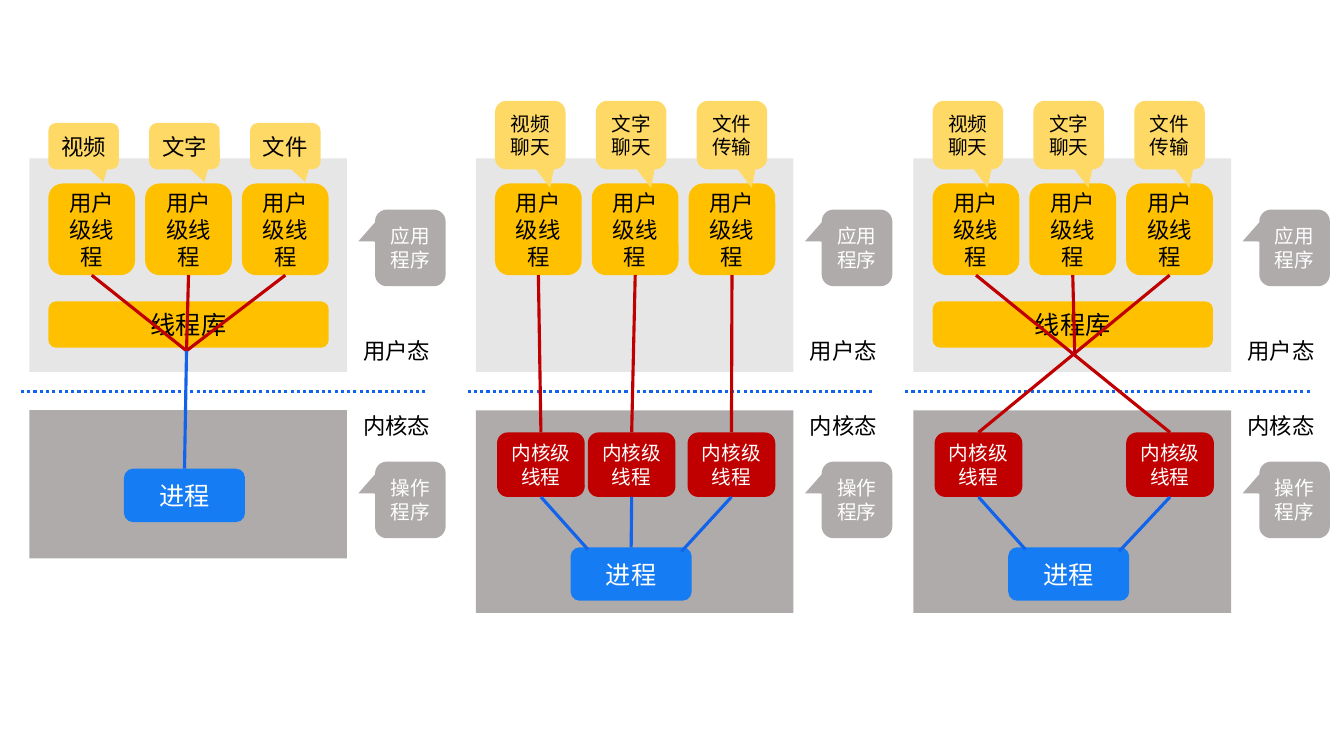
from pptx import Presentation
from pptx.dml.color import RGBColor
from pptx.enum.dml import MSO_LINE_DASH_STYLE as Dash
from pptx.enum.shapes import MSO_CONNECTOR as Connector, MSO_SHAPE as Shape
from pptx.enum.text import MSO_ANCHOR as Anchor, PP_ALIGN as Align
from pptx.oxml.xmlchemy import OxmlElement
from pptx.util import Inches, Pt

FONT = "Noto Sans CJK SC"
BLACK = RGBColor(0x00, 0x00, 0x00)
WHITE = RGBColor(0xFF, 0xFF, 0xFF)
LIGHT_GRAY = RGBColor(0xE7, 0xE6, 0xE6)
GRAY = RGBColor(0xAF, 0xAB, 0xAB)
AMBER = RGBColor(0xFF, 0xC0, 0x00)
YELLOW = RGBColor(0xFF, 0xD9, 0x66)
RED = RGBColor(0xC0, 0x00, 0x00)
BLUE = RGBColor(0x15, 0x7C, 0xF3)
LINE_BLUE = RGBColor(0x11, 0x63, 0xEB)

BOTTOM, TOP = 2, 0
TASK_TAIL = (0.281, 0.771, 0.167)
SIDE_TAIL = (-0.736, -0.087, 0.167)
SHORT_TASKS = (["视频"], ["文字"], ["文件"])
LONG_TASKS = (["视频", "聊天"], ["文字", "聊天"], ["文件", "传输"])


def write(box, lines, size, color):
    frame = box.text_frame
    frame.word_wrap = True
    for index, line in enumerate(lines):
        para = frame.add_paragraph() if index else frame.paragraphs[0]
        para.alignment = Align.CENTER
        span = para.add_run()
        span.text = line
        span.font.size = Pt(size)
        span.font.color.rgb = color
        span.font.name = FONT
        east_asian = OxmlElement("a:ea")
        east_asian.set("typeface", FONT)
        span.font._element.append(east_asian)


def add_box(panel, kind, place, fill, lines=(), size=16, color=BLACK, tail=()):
    box = panel.shapes.add_shape(kind, *map(Inches, place))
    box.shadow.inherit = False
    box.fill.solid()
    box.fill.fore_color.rgb = fill
    box.line.fill.background()
    for index, value in enumerate(tail):
        box.adjustments[index] = value
    box.text_frame.vertical_anchor = Anchor.MIDDLE
    write(box, lines, size, color)
    return box


def add_label(panel, left, top, text):
    box = panel.shapes.add_textbox(*map(Inches, (left, top, 0.97, 0.37)))
    write(box, [text], 16, BLACK)


def add_line(panel, start, end, color):
    """Draw from a point or a box's bottom to a point or a box's top."""
    def locate(target, site):
        if isinstance(target, tuple):
            return [Inches(value) for value in target]
        return [target.left + target.width // 2,
                target.top + (target.height if site == BOTTOM else 0)]

    line = panel.shapes.add_connector(
        Connector.STRAIGHT, *locate(start, BOTTOM), *locate(end, TOP))
    if not isinstance(start, tuple):
        line.begin_connect(start, BOTTOM)
    if not isinstance(end, tuple):
        line.end_connect(end, TOP)
    line.line.color.rgb = color
    line.line.width = Pt(2.25)
    line._element.spPr.append(OxmlElement("a:effectLst"))
    return line


def add_panel(page, left, kernel_height, tasks, task_top, task_size):
    """Add the parts shared by all models; return the group and user threads."""
    panel = page.shapes.add_group_shape()
    add_box(panel, Shape.RECTANGLE, (left, 4.07, 3.15, kernel_height), GRAY)
    add_box(panel, Shape.RECTANGLE, (left, 1.57, 3.15, 2.12), LIGHT_GRAY)
    threads = [
        add_box(panel, Shape.ROUNDED_RECTANGLE,
                (left + 0.19 + 0.96 * column, 1.82, 0.86, 0.91), AMBER, ["用户级线程"])
        for column in range(3)]
    for column, task in enumerate(tasks):
        add_box(panel, Shape.ROUNDED_RECTANGULAR_CALLOUT,
                (left + 0.19 + column, task_top, 0.7, 1.68 - task_top),
                YELLOW, task, task_size, tail=TASK_TAIL)
    border = add_line(panel, (left + 3.93, 3.88), (left - 0.09, 3.88), LINE_BLUE)
    border.line.dash_style = Dash.ROUND_DOT
    for top, mode in ((3.3, "用户态"), (4.04, "内核态")):
        add_label(panel, left + 3.16, top, mode)
    for top, program in ((2.08, "应用程序"), (4.58, "操作程序")):
        add_box(panel, Shape.ROUNDED_RECTANGULAR_CALLOUT, (left + 3.43, top, 0.7, 0.76),
                GRAY, [program], 14, WHITE, SIDE_TAIL)
    return panel, threads


def add_library(panel, left):
    add_box(panel, Shape.ROUNDED_RECTANGLE, (left + 0.19, 2.99, 2.78, 0.46),
            AMBER, ["线程库"], 18)


def add_process(panel, left, top):
    return add_box(panel, Shape.ROUNDED_RECTANGLE, (left + 0.94, top, 1.2, 0.53),
                   BLUE, ["进程"], 18, WHITE)


def add_kernel_threads(panel, left, offsets):
    """Add kernel threads, with the outer two tied to the process corners."""
    threads = [
        add_box(panel, Shape.ROUNDED_RECTANGLE, (left + offset, 4.29, 0.87, 0.64),
                RED, ["内核级线程"], 14, WHITE)
        for offset in offsets]
    add_line(panel, threads[0], (left + 1.11, 5.45), LINE_BLUE)
    add_line(panel, threads[-1], (left + 2.04, 5.47), LINE_BLUE)
    return threads


def add_many_to_one(page, left):
    panel, users = add_panel(page, left, 1.47, SHORT_TASKS, 1.22, 16)
    add_library(panel, left)
    process = add_process(panel, left, 4.65)
    meeting = (left + 1.56, 3.48)
    for user in users:
        add_line(panel, user, meeting, RED)
    add_line(panel, meeting, process, LINE_BLUE)


def add_one_to_one(page, left):
    panel, users = add_panel(page, left, 2.01, LONG_TASKS, 1, 14)
    process = add_process(panel, left, 5.43)
    kernels = add_kernel_threads(panel, left, (0.21, 1.11, 2.1))
    for user, kernel in zip(users, kernels):
        add_line(panel, user, kernel, RED)
    add_line(panel, kernels[1], process, LINE_BLUE)


def add_many_to_many(page, left):
    panel, users = add_panel(page, left, 2.01, LONG_TASKS, 1, 14)
    add_process(panel, left, 5.43)
    kernels = add_kernel_threads(panel, left, (0.21, 2.11))
    add_library(panel, left)
    add_line(panel, users[1], (left + 1.6, 3.53), RED)
    add_line(panel, users[0], kernels[1], RED)
    add_line(panel, users[2], kernels[0], RED)


def main():
    deck = Presentation()
    deck.slide_width, deck.slide_height = Inches(13.33), Inches(7.5)
    page = deck.slides.add_slide(deck.slide_layouts[6])
    add_many_to_one(page, 0.29)
    add_one_to_one(page, 4.72)
    add_many_to_many(page, 9.06)
    deck.save("out.pptx")


if __name__ == "__main__":
    main()
